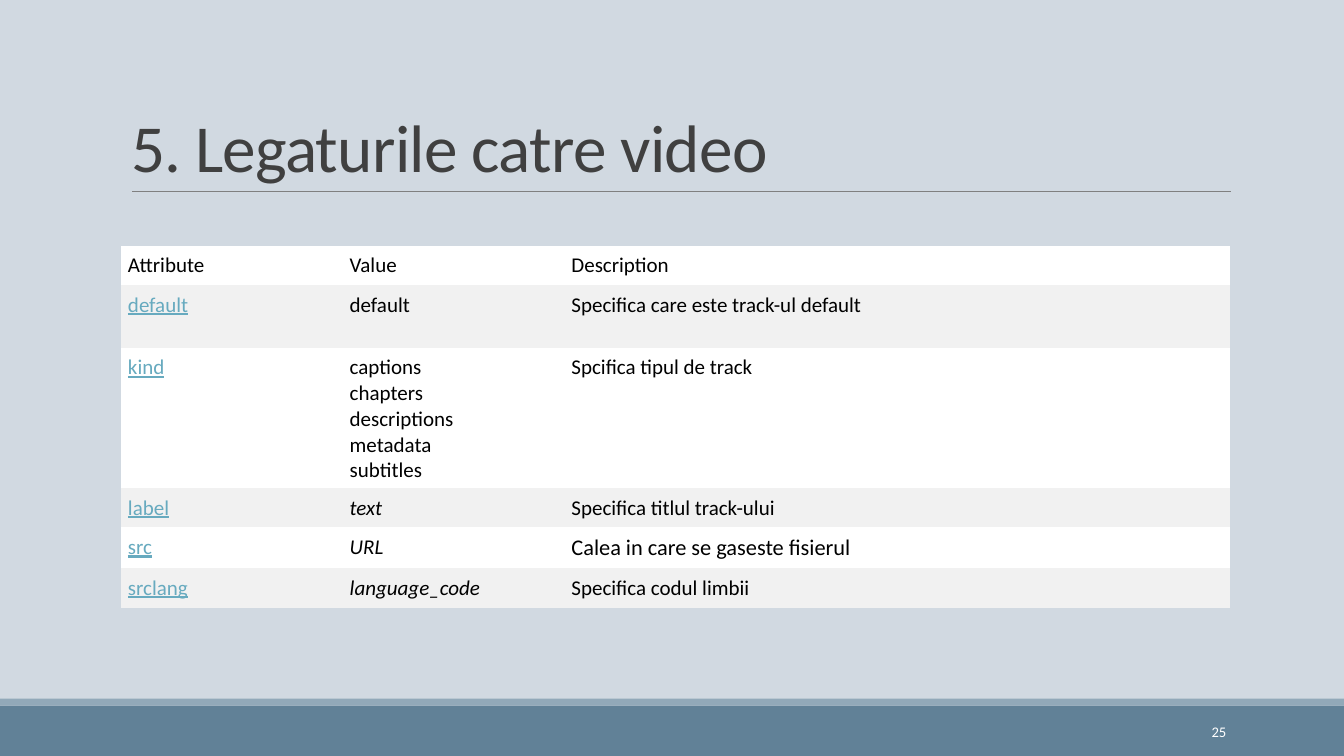
import pptx
import pptx.util
import pptx.dml.color
import pptx.enum.shapes
import pptx.enum.text
import pptx.oxml.ns
import lxml.etree
from dataclasses import dataclass

Pt = pptx.util.Pt
Align = pptx.enum.text.PP_ALIGN
Anchor = pptx.enum.text.MSO_ANCHOR
Shape = pptx.enum.shapes.MSO_SHAPE
qn = pptx.oxml.ns.qn


@dataclass(frozen=True)
class Theme:
    font: str = "Calibri"
    back: str = "D1D9E1"
    bar: str = "618197"
    trim: str = "92A9B9"
    rule: str = "808080"
    head: str = "404040"
    ink: str = "000000"
    link: str = "67AABF"
    white: str = "FFFFFF"
    band: str = "F1F1F1"
    title: float = 48
    body: float = 15
    large: float = 16
    small: float = 10.5
    plain: str = "{2D5ABB26-0587-4C30-8999-92F81FD0307C}"


def apply(item, values):
    for name, value in values.items():
        setattr(item, name, value)


def paint(fill, color):
    fill.solid()
    fill.fore_color.rgb = pptx.dml.color.RGBColor.from_string(color)


class Deck:
    def __init__(self, theme):
        self.theme = theme
        self.show = pptx.Presentation()
        apply(self.show, {"slide_width": pptx.util.Inches(13.33),
                          "slide_height": pptx.util.Inches(7.5)})
        self.slide = self.show.slides.add_slide(self.show.slide_layouts[5])
        self.shapes = self.slide.shapes
        paint(self.slide.background.fill, theme.back)

    def col(self, share):
        return round(self.show.slide_width * share / 100)

    def row(self, share):
        return round(self.show.slide_height * share / 100)

    def box(self, x, y, w, h):
        return self.col(x), self.row(y), self.col(w), self.row(h)

    def style(self, frame, size, color, **extra):
        for para in frame.paragraphs:
            for run in para.runs:
                apply(run.font, {"name": self.theme.font, "size": Pt(size), **extra})
                paint(run.font.fill, color)

    def bar(self, area, color):
        shape = self.shapes.add_shape(Shape.RECTANGLE, *self.box(*area))
        shape.shadow.inherit = False
        paint(shape.fill, color)
        shape.line.fill.background()

    def rule(self, left, right, y):
        line = self.shapes.add_connector(
            pptx.enum.shapes.MSO_CONNECTOR.STRAIGHT,
            self.col(left), self.row(y), self.col(right), self.row(y))
        paint(line.line.fill, self.theme.rule)
        line.line.width = Pt(0.5)
        props = line._element.find(qn("p:spPr"))
        lxml.etree.SubElement(props, qn("a:effectLst"))

    def title(self, text, area):
        shape = self.shapes.title
        apply(shape, dict(zip(("left", "top", "width", "height"), self.box(*area))))
        frame = shape.text_frame
        frame.text = text
        apply(frame, {"word_wrap": True, "vertical_anchor": Anchor.BOTTOM,
                      "auto_size": pptx.enum.text.MSO_AUTO_SIZE.NONE})
        apply(frame.paragraphs[0], {"alignment": Align.LEFT, "line_spacing": 0.85})
        self.style(frame, self.theme.title, self.theme.head)
        for props in shape._element.iter(qn("a:rPr")):
            props.set("spc", "-50")

    def text(self, text, area):
        frame = self.shapes.add_textbox(*self.box(*area)).text_frame
        frame.text = text
        apply(frame, {"word_wrap": True, "vertical_anchor": Anchor.MIDDLE})
        frame.paragraphs[0].alignment = Align.RIGHT
        self.style(frame, self.theme.small, self.theme.white)

    def table(self, data, area, parts, rows):
        theme = self.theme
        item = self.shapes.add_table(len(data), len(parts), *self.box(*area))
        table = item.table
        apply(table, {"first_row": False, "horz_banding": False})
        for tag in item._element.iter(qn("a:tableStyleId")):
            tag.text = theme.plain
        for column, part in zip(table.columns, parts):
            column.width = self.col(area[2] * part / sum(parts))
        for line, height in zip(table.rows, rows):
            line.height = self.row(height)
        sides = ("left", "right", "top", "bottom")
        inset = {f"margin_{side}": pptx.util.Inches(0.07) for side in sides}
        for r, values in enumerate(data):
            for c, value in enumerate(values):
                cell = table.cell(r, c)
                apply(cell, inset)
                paint(cell.fill, theme.band if r % 2 else theme.white)
                cell.text_frame.text = value
                link = r > 0 and c == 0
                size = theme.large if (r, c) == (4, 2) else theme.body
                self.style(cell.text_frame, size, theme.link if link else theme.ink,
                           underline=link, italic=r > 2 and c == 1)


def main():
    theme = Theme()
    deck = Deck(theme)
    deck.bar((0, 93.33, 100, 6.67), theme.bar)
    deck.bar((0, 92.4, 100, 0.93), theme.trim)
    deck.rule(9.83, 91.6, 25.33)
    deck.title("5. Legaturile catre video", (9, 4.13, 82.5, 21.2))
    deck.text("25", (81.25, 94.13, 10.73, 5.33))
    kinds = ("captions", "chapters", "descriptions", "metadata", "subtitles")
    data = [
        ("Attribute", "Value", "Description"),
        ("default", "default", "Specifica care este track-ul default"),
        ("kind", "\n".join(kinds), "Spcifica tipul de track"),
        ("label", "text", "Specifica titlul track-ului"),
        ("src", "URL", "Calea in care se gaseste fisierul"),
        ("srclang", "language_code", "Specifica codul limbii"),
    ]
    deck.table(data, (9, 32.53, 82.5, 47.6), (1, 1, 3),
               (5.1, 8.3, 18.1, 5.1, 5.1, 5.1))
    deck.show.save("out.pptx")


if __name__ == "__main__":
    main()
